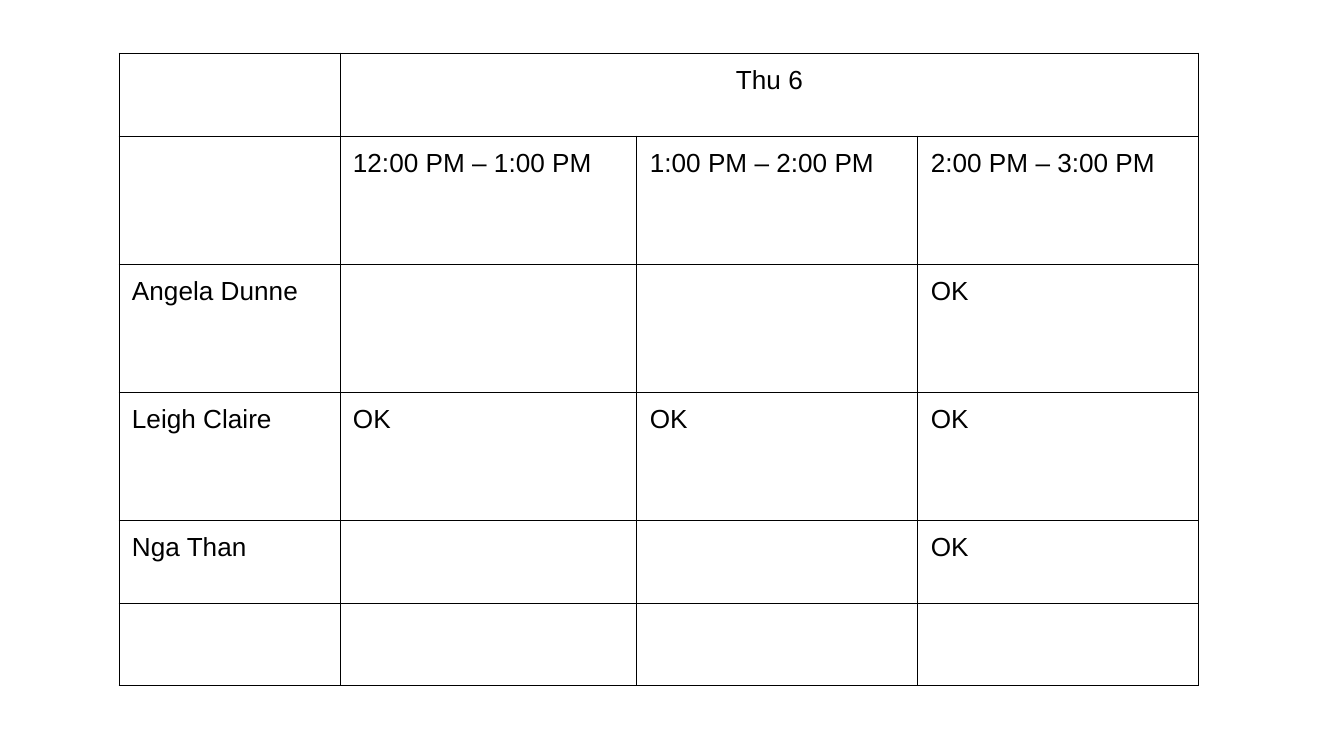
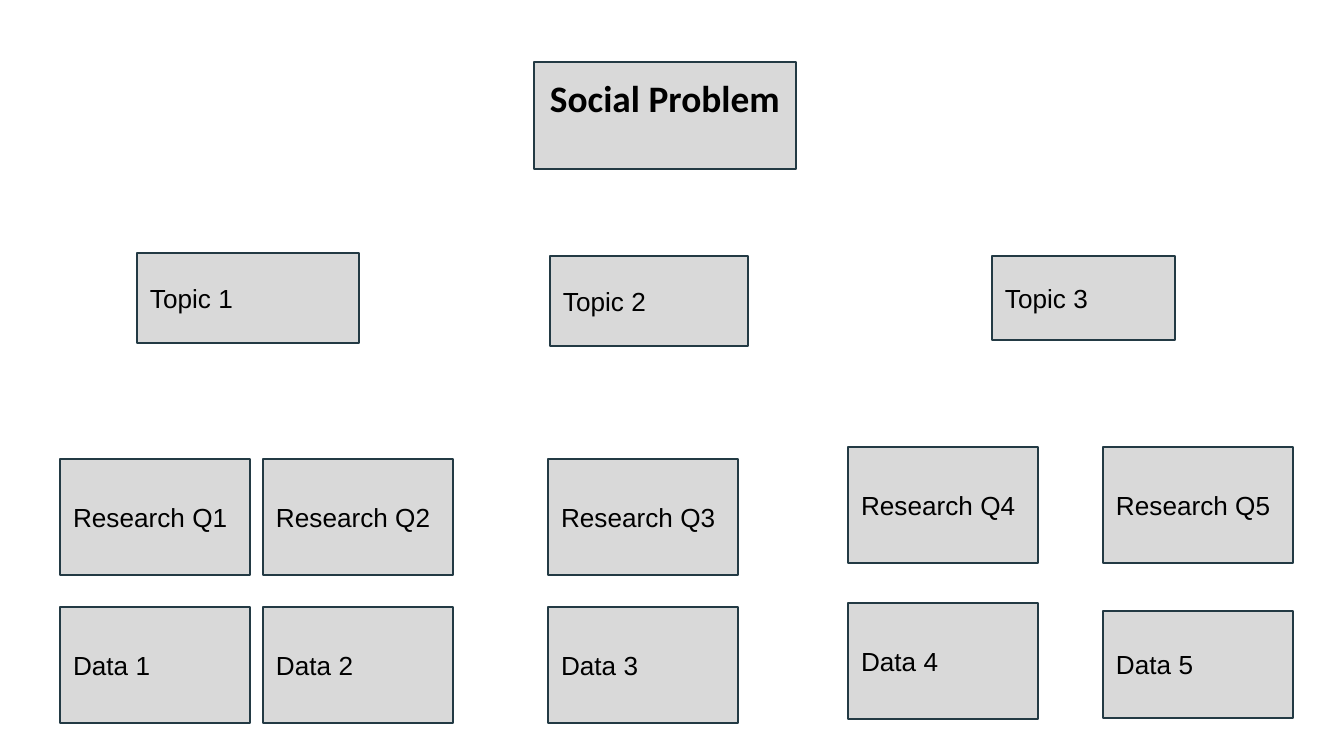
from lxml.etree import SubElement
from pptx import Presentation
from pptx.dml.color import RGBColor
from pptx.enum.shapes import MSO_SHAPE as Shape
from pptx.enum.text import MSO_ANCHOR as Anchor, PP_ALIGN as Align
from pptx.oxml import parse_xml
from pptx.oxml.ns import nsdecls
from pptx.util import Pt

PX = 914400 / 134.4
SIZE = (1344, 756)
PAD = 13
COLORS = {"ink": "000000", "box": "D9D9D9", "edge": "233A44"}

DAY = "Thu 6"
ROWS = [
    ["", DAY, "", ""],
    ["", "12:00 PM – 1:00 PM", "1:00 PM – 2:00 PM", "2:00 PM – 3:00 PM"],
    ["Angela Dunne", "", "", "OK"],
    ["Leigh Claire", "OK", "OK", "OK"],
    ["Nga Than", "", "", "OK"],
    ["", "", "", ""],
]
GRID = (119, 53)
WIDTHS = [221, 297, 281, 281]
SHORT, TALL = 83, 128
HEIGHTS = [SHORT, TALL, TALL, TALL, SHORT, SHORT]

PROBLEM = ("Social Problem", 534, 62, 262, 107)
TOPICS = [
    ("Topic 1", 137, 253, 222, 90),
    ("Topic 2", 550, 256, 198, 90),
    ("Topic 3", 992, 256, 183, 84),
]
BRANCH = (190, 116)
BRANCHES = [
    (60, 459, 607, 116),
    (263, 459, 607, 116),
    (548, 459, 607, 116),
    (848, 447, 603, 116),
    (1103, 447, 611, 107),
]


def emu(*vals):
    return [round(v * PX) for v in vals]


def rgb(name):
    return RGBColor.from_string(COLORS[name])


def pad(item):
    edge = emu(PAD)[0]
    item.margin_left = item.margin_right = edge
    item.margin_top = item.margin_bottom = edge


def write(frame, text, align=Align.LEFT, face="Arial", size=14, bold=False):
    frame.text = text
    para = frame.paragraphs[0]
    para.alignment = align
    for run in para.runs:
        font = run.font
        font.name, font.size, font.bold = face, Pt(size), bold
        font.color.rgb = rgb("ink")


def rule(cell):
    props = cell._tc.get_or_add_tcPr()
    for i, side in enumerate("LRTB"):
        line = parse_xml(f'<a:ln{side} {nsdecls("a")} w="{Pt(0.5)}"><a:solidFill/></a:ln{side}>')
        SubElement(line[0], line.tag.replace(f"ln{side}", "srgbClr"), val=COLORS["ink"])
        props.insert(i, line)


def schedule(slide):
    area = emu(*GRID, sum(WIDTHS), sum(HEIGHTS))
    table = slide.shapes.add_table(len(ROWS), len(WIDTHS), *area).table
    table.first_row = table.horz_banding = False
    for col, width in zip(table.columns, emu(*WIDTHS)):
        col.width = width
    for row, height in zip(table.rows, emu(*HEIGHTS)):
        row.height = height
    for r, texts in enumerate(ROWS):
        for c, text in enumerate(texts):
            cell = table.cell(r, c)
            pad(cell)
            write(cell.text_frame, text, Align.CENTER if text == DAY else Align.LEFT)
            cell.fill.background()
            rule(cell)
    table.cell(0, 1).merge(table.cell(0, len(WIDTHS) - 1))


def box(slide, text, x, y, w, h, anchor=Anchor.MIDDLE, **style):
    shape = slide.shapes.add_shape(Shape.RECTANGLE, *emu(x, y, w, h))
    shape.shadow.inherit = False
    shape.fill.solid()
    shape.fill.fore_color.rgb = rgb("box")
    shape.line.color.rgb = rgb("edge")
    shape.line.width = Pt(0.75)
    frame = shape.text_frame
    frame.word_wrap = True
    frame.vertical_anchor = anchor
    pad(frame)
    write(frame, text, **style)


def tree(slide):
    for topic in TOPICS:
        box(slide, *topic)
    wide, high = BRANCH
    for n, (x, top, low, depth) in enumerate(BRANCHES, 1):
        box(slide, f"Research Q{n}", x, top, wide, high)
        box(slide, f"Data {n}", x, low, wide, depth)
    box(slide, *PROBLEM, anchor=Anchor.TOP, align=Align.CENTER,
        face="Calibri", size=20, bold=True)


def main():
    deck = Presentation()
    deck.slide_width, deck.slide_height = emu(*SIZE)
    for draw in (schedule, tree):
        draw(deck.slides.add_slide(deck.slide_layouts[6]))
    deck.save("out.pptx")


if __name__ == "__main__":
    main()
